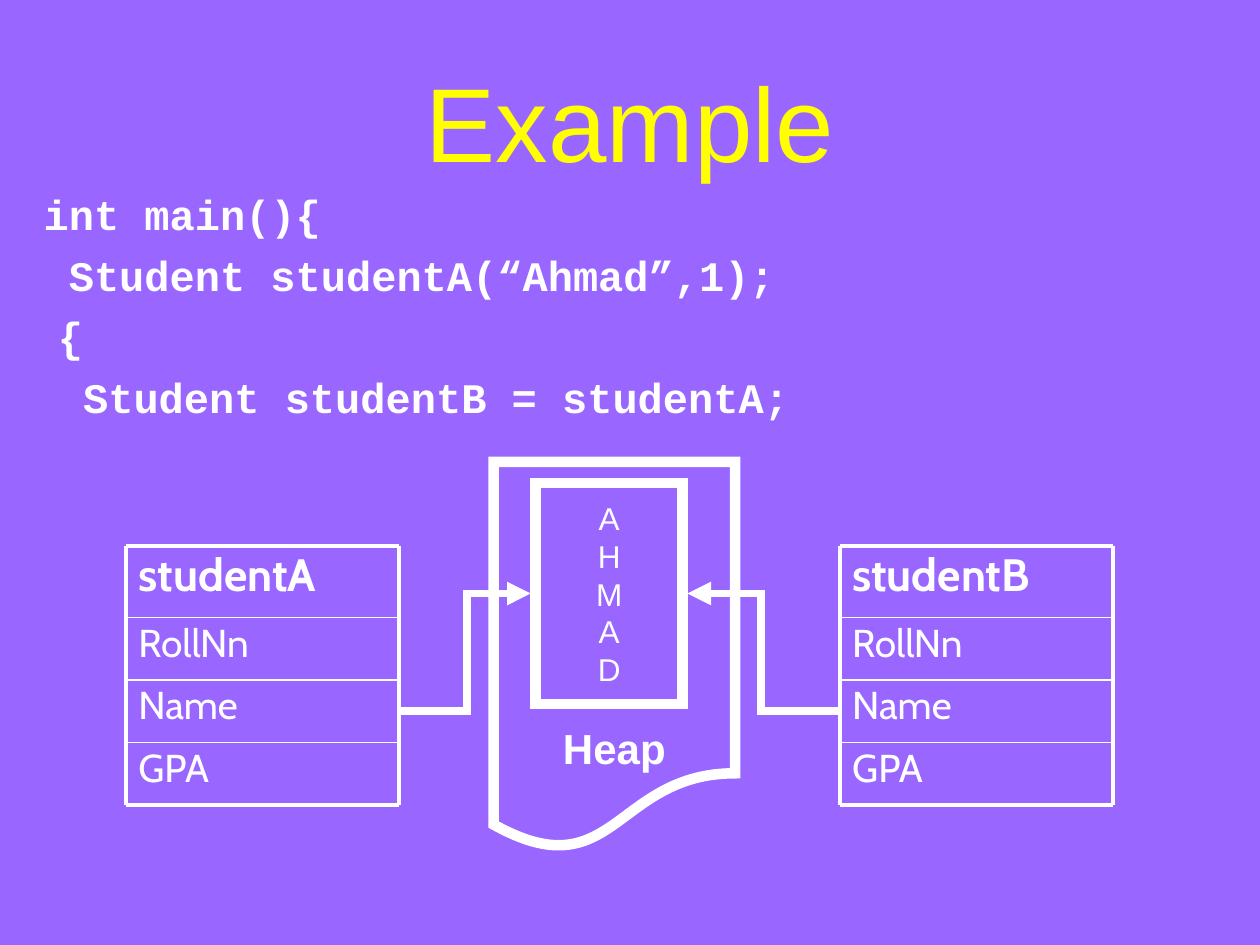
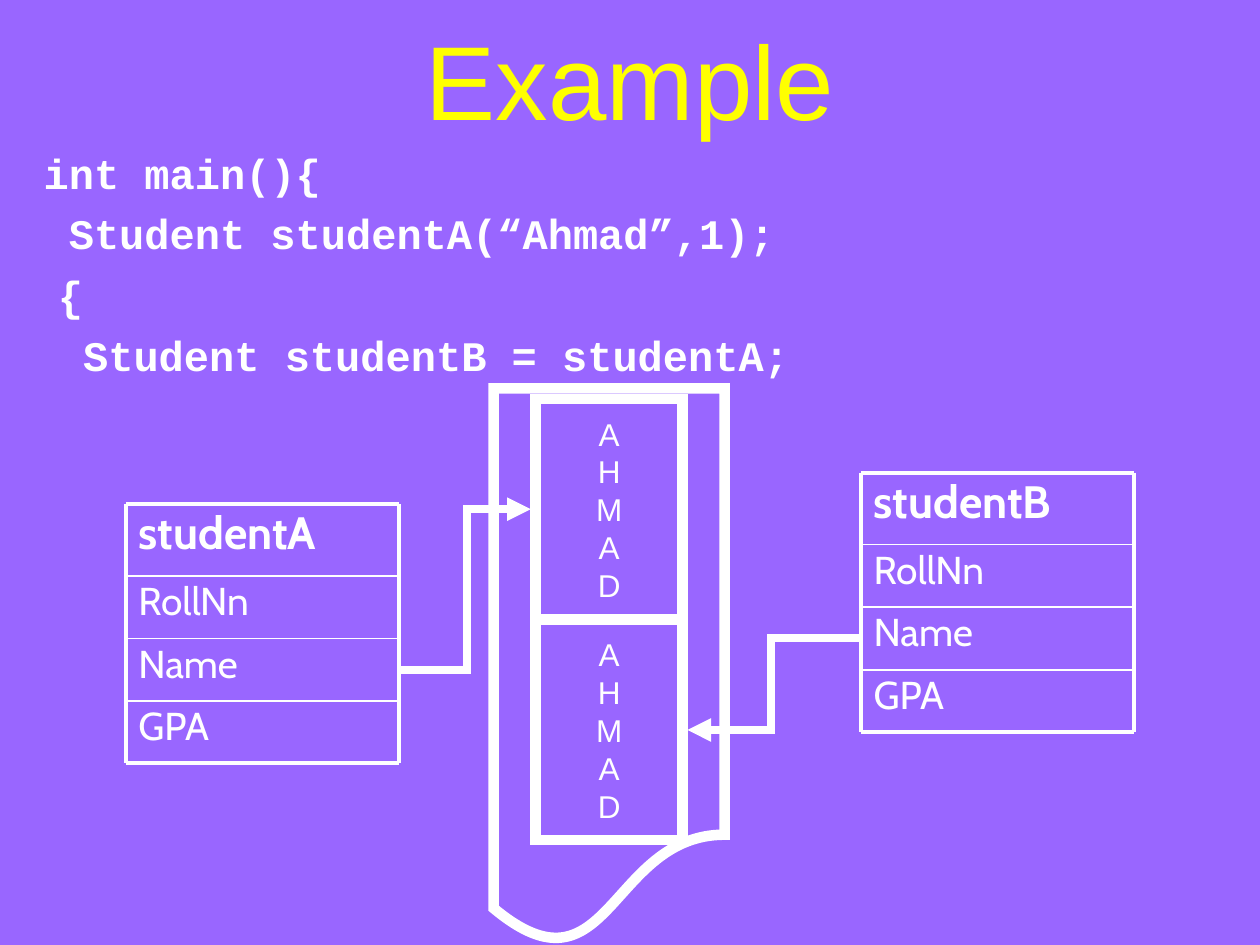
from lxml import etree
from pptx import Presentation, util as u
from pptx.dml.color import RGBColor
from pptx.enum import shapes as s, text as t
from pptx.oxml import ns

# Shared look
VIOLET = RGBColor(0x99, 0x66, 0xFF)
YELLOW = RGBColor(0xFF, 0xFF, 0x00)
WHITE = RGBColor(0xFF, 0xFF, 0xFF)
TITLE = {"name": "Arial", "size": u.Pt(60)}
CODE = {"name": "Courier New", "size": u.Pt(24), "bold": True}
HEAP = {"name": "Arial", "size": u.Pt(24), "bold": True}
LETTER = {"name": "Arial", "size": u.Pt(18)}
HEAD = {"name": "Cabin", "size": u.Pt(25.9), "bold": True}
FIELD = {"name": "Cabin", "size": u.Pt(22.2)}
MID = {"vertical_anchor": t.MSO_ANCHOR.MIDDLE}
LOW = {"vertical_anchor": t.MSO_ANCHOR.BOTTOM, "margin_bottom": 0}
CENTER = {"alignment": t.PP_ALIGN.CENTER}

# Sizes in centimetres
CARD_W, HEAD_H, ROW_H = 5.5, 1.45, 1.26
WORD_X, WORD_W, WORD_H = 10.8, 2.96, 4.45
GAP = 0.1
FIELDS = ["RollNn", "Name", "GPA"]


def apply(obj, props):
    for key, val in props.items():
        setattr(obj, key, val)


def write(shape, lines, font, color=WHITE, frame=None, para=None, gap=0):
    """Fill a shape with one paragraph per line."""
    tf = shape.text_frame
    apply(tf, {"word_wrap": False, "margin_left": u.Cm(0.25),
               "margin_right": u.Cm(0.25), **(frame or {})})
    for i, line in enumerate(lines):
        p = tf.paragraphs[0] if i == 0 else tf.add_paragraph()
        run = p.add_run()
        run.text = line
        apply(p, para or {})
        if i and gap:
            p.space_before = u.Pt(gap)
        apply(run.font, font)
        run.font.color.rgb = color


def box(slide, x, y, w, h):
    return slide.shapes.add_textbox(*map(u.Cm, (x, y, w, h)))


def stroke(shape, width):
    """White line with sharp corners."""
    shape.line.color.rgb = WHITE
    shape.line.width = u.Pt(width)
    ln = shape._element.spPr.find(ns.qn("a:ln"))
    etree.SubElement(ln, ns.qn("a:miter"), lim="800000")
    return ln


def outline(slide, kind, x, y, w, h):
    shape = slide.shapes.add_shape(kind, *map(u.Cm, (x, y, w, h)))
    shape.shadow.inherit = False
    shape.fill.background()
    stroke(shape, 6)
    return shape


def link(slide, kind, start, end, width):
    """Connector without shadow; gives its properties and its line."""
    line = slide.shapes.add_connector(kind, *map(u.Cm, (*start, *end)))
    ln = stroke(line, width)
    pr = line._element.spPr
    etree.SubElement(pr, ns.qn("a:effectLst"))
    return pr, ln


def arrow(slide, start, end):
    """Elbow arrow that turns just past halfway."""
    pr, ln = link(slide, s.MSO_CONNECTOR.ELBOW, start, end, 4.5)
    guides = pr.find(ns.qn("a:prstGeom")).get_or_add_avLst()
    etree.SubElement(guides, ns.qn("a:gd"), name="adj1", fmla="val 51800")
    etree.SubElement(ln, ns.qn("a:tailEnd"), type="triangle")


def card(slide, name, x, y):
    """Object card: a heading, three fields and ruled lines."""
    top = y
    right = x + CARD_W
    rule = s.MSO_CONNECTOR.STRAIGHT
    for i, label in enumerate([name] + FIELDS):
        high = ROW_H if i else HEAD_H
        write(box(slide, x, top, CARD_W, high), [label],
              FIELD if i else HEAD, frame={"word_wrap": True},
              para={"line_spacing": 0.9})
        link(slide, rule, (x, top), (right, top), 1 if i else 2.25)
        top += high
    link(slide, rule, (x, top), (right, top), 2.25)
    for side in (x, right):
        link(slide, rule, (side, y), (side, top), 2.25)


def word(slide, y):
    shape = outline(slide, s.MSO_SHAPE.RECTANGLE, WORD_X, y, WORD_W, WORD_H)
    write(shape, "AHMAD", LETTER, frame=MID, para=CENTER)


def point(slide, x, y, goal):
    """Arrow from the Name field of a card to the word box at height goal."""
    row = y + HEAD_H + 1.5 * ROW_H
    end = goal + WORD_H / 2
    if x < WORD_X:
        arrow(slide, (x + CARD_W, row), (WORD_X - GAP, end))
    else:
        arrow(slide, (x, row), (WORD_X + WORD_W + GAP, end))


def heap(slide, y, w, h, label=None):
    shape = outline(slide, s.MSO_SHAPE.FLOWCHART_DOCUMENT, 9.95, y, w, h)
    if label:
        write(shape, [label], HEAP, frame=LOW, para=CENTER)


def start(prs, top):
    """New slide with the title and code listing."""
    slide = prs.slides.add_slide(prs.slide_layouts[6])
    write(box(slide, 1.27, top, 22.86, 3.18), ["Example"], TITLE, YELLOW,
          {"word_wrap": True, **MID}, CENTER)
    write(box(slide, 0.63, top + 2.84, 15.24, 2.51),
          ["int main(){", " Student studentA(“Ahmad”,1);"], CODE, gap=6)
    write(box(slide, 0.41, top + 5.3, 16.26, 2.51),
          [" {", "  Student studentB = studentA;"], CODE, gap=6)
    return slide


def draw(slide, cards):
    """Cards given as name, x, y and the top of the word they point to."""
    for name, x, y, goal in cards:
        card(slide, name, x, y)
        point(slide, x, y, goal)
    for goal in sorted({c[3] for c in cards}):
        word(slide, goal)


def main():
    prs = Presentation()
    prs.slide_width, prs.slide_height = u.Cm(25.4), u.Cm(19.05)
    fill = prs.slide_master.background.fill
    fill.solid()
    fill.fore_color.rgb = VIOLET

    # Both students share one word
    slide = start(prs, 0.83)
    heap(slide, 9.31, 4.87, 7.83, "Heap")
    draw(slide, [("studentA", 2.54, 11, 9.74), ("studentB", 16.93, 11, 9.74)])

    # Each student has its own word
    slide = start(prs, 0)
    heap(slide, 7.83, 4.66, 11.22)
    draw(slide, [("studentA", 2.54, 10.16, 8.04),
                 ("studentB", 17.36, 9.53, 8.04 + WORD_H)])

    prs.save("out.pptx")


if __name__ == "__main__":
    main()
